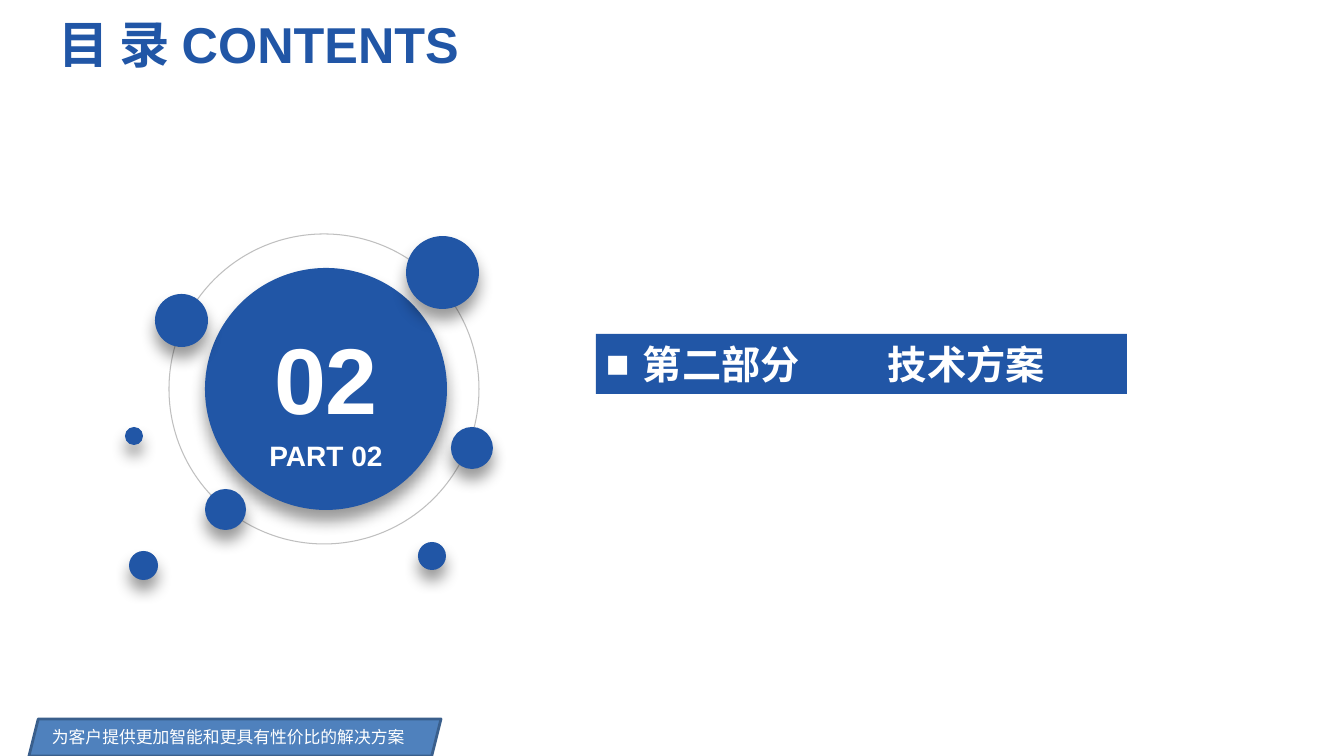
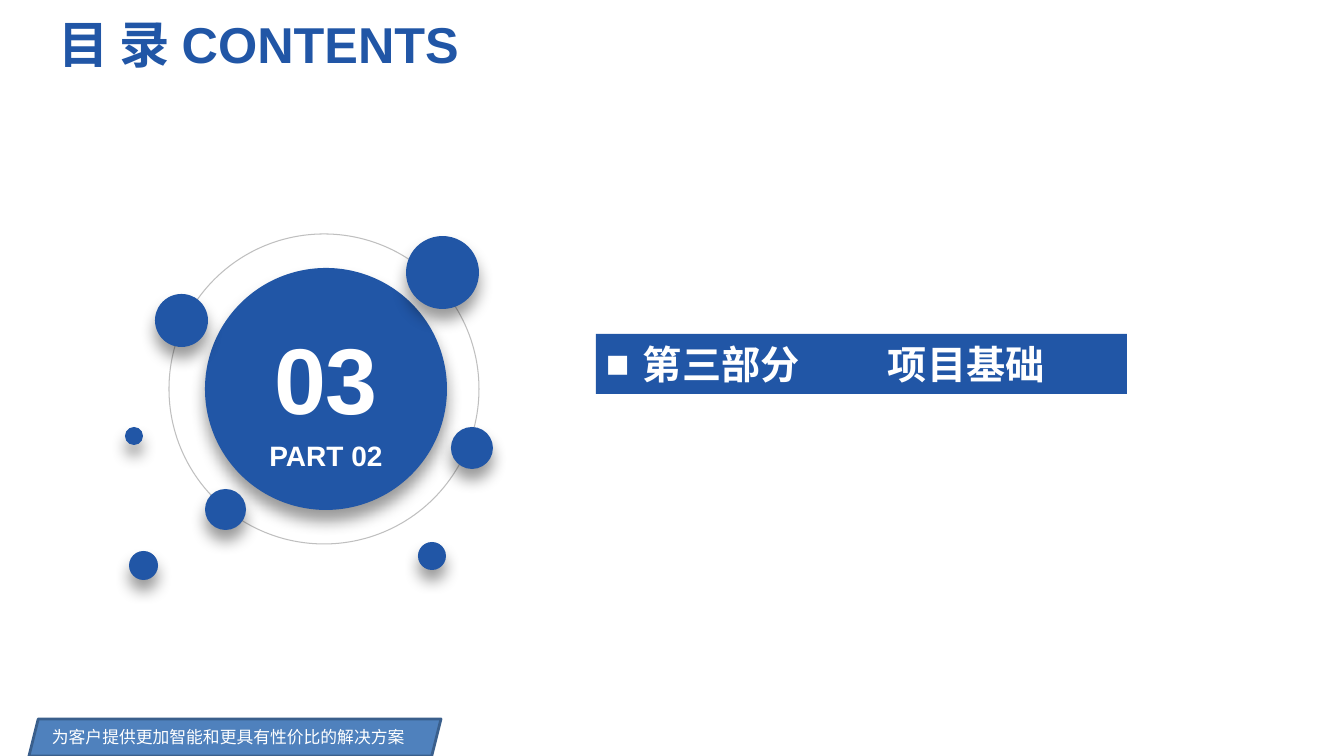
from dataclasses import dataclass

from lxml.etree import SubElement
from pptx import Presentation
from pptx.dml.color import RGBColor
from pptx.enum.shapes import MSO_SHAPE
from pptx.enum.text import MSO_ANCHOR, MSO_AUTO_SIZE, PP_ALIGN
from pptx.oxml.ns import qn
from pptx.util import Emu, Pt


@dataclass(frozen=True)
class Theme:
    font: str = "Arial"
    blue: str = "2156A6"
    white: str = "FFFFFF"
    ring: str = "BFBFBF"
    band: str = "4F81BD"
    band_edge: str = "3A5F8C"
    shadow: str = "000000"
    title: float = 36
    number: float = 66.7
    heading: float = 28
    caption: float = 20
    footer: float = 12


T = Theme()
SCALE = 12192000 / 1344  # EMU in one px
TITLE = "目 录 CONTENTS"
SLOGAN = "为客户提供更加智能和更具有性价比的解决方案"
SECTIONS = [
    ("02", "PART 02", "第二部分", "技术方案"),
    ("03", "PART 02", "第三部分", "项目基础"),
]
# Small circles around the disc: left, top, diameter within the emblem
SATELLITES = [
    (281, 2, 73), (30, 60, 53), (4, 317, 29), (80, 255, 41),
    (326, 193, 42), (293, 308, 28), (0, 193, 18),
]


def px(n):
    return Emu(round(n * SCALE))


def rgb(color):
    return RGBColor.from_string(color)


def add_bullet(p, char, indent):
    pPr = p._p.get_or_add_pPr()
    pPr.set("marL", str(px(indent)))
    pPr.set("indent", str(-px(indent)))
    SubElement(pPr, qn("a:buFont"), typeface=T.font)
    SubElement(pPr, qn("a:buChar"), char=char)


def write(sp, text, size, color=T.white, bold=True, align=PP_ALIGN.LEFT,
          anchor=MSO_ANCHOR.TOP, bullet=None, indent=0):
    tf = sp.text_frame
    tf.word_wrap = True
    tf.auto_size = MSO_AUTO_SIZE.NONE
    tf.vertical_anchor = anchor
    tf.margin_left = tf.margin_right = px(10)
    tf.margin_top = tf.margin_bottom = px(5)
    p = tf.paragraphs[0]
    p.alignment = align
    if bullet:
        add_bullet(p, bullet, indent)
    r = p.add_run()
    r.text = text
    r.font.name, r.font.size, r.font.bold = T.font, Pt(size), bold
    r.font.color.rgb = rgb(color)


def add_label(s, x, y, w, h, text, **fmt):
    sp = s.shapes.add_textbox(px(x), px(y), px(w), px(h))
    write(sp, text, **fmt)
    return sp


def add_box(s, kind, x, y, w, h, fill=None, line=None, weight=1):
    sp = s.shapes.add_shape(kind, px(x), px(y), px(w), px(h))
    sp.shadow.inherit = False
    if fill:
        sp.fill.solid()
        sp.fill.fore_color.rgb = rgb(fill)
    else:
        sp.fill.background()
    if line:
        sp.line.color.rgb = rgb(line)
        sp.line.width = Pt(weight)
    else:
        sp.line.fill.background()
    return sp


def add_shadow(sp):
    effects = sp.element.spPr.find(qn("a:effectLst"))
    shadow = SubElement(effects, qn("a:outerShdw"), blurRad=str(Pt(11)),
                        dist=str(Pt(8)), dir="5400000", algn="t",
                        rotWithShape="0")
    color = SubElement(shadow, qn("a:srgbClr"), val=T.shadow)
    SubElement(color, qn("a:alpha"), val="40000")


def add_ball(s, x, y, d):
    add_shadow(add_box(s, MSO_SHAPE.OVAL, x, y, d, d, fill=T.blue))


def add_footer(layout, s, x, y, w, h):
    """Draw the footer band on a slide and move it to the shared layout."""
    for ph in list(layout.placeholders):
        if ph.placeholder_format.idx:
            ph.element.getparent().remove(ph.element)
    band = add_box(s, MSO_SHAPE.PARALLELOGRAM, x, y, w, h,
                   fill=T.band, line=T.band_edge, weight=2)
    slogan = add_label(s, x + 13, y + 3, w - 13, h - 7, SLOGAN,
                       size=T.footer, bold=False)
    for sp in (band, slogan):
        layout.shapes.element.append(sp.element)


def add_title(s, x, y, w, h):
    sp = s.shapes.title
    sp.left, sp.top, sp.width, sp.height = px(x), px(y), px(w), px(h)
    write(sp, TITLE, size=T.title, color=T.blue)


def add_emblem(s, x, y, number, caption):
    # Ring and disc
    add_box(s, MSO_SHAPE.OVAL, x + 44, y, 310, 310, line=T.ring, weight=0.75)
    disc_x, disc_y, disc_d = x + 80, y + 34, 242
    add_ball(s, disc_x, disc_y, disc_d)
    # Number and caption
    for text, size, top, h in ((number, T.number, 48, 123),
                               (caption, T.caption, 165, 44)):
        add_label(s, disc_x, disc_y + top, disc_d, h, text,
                  size=size, align=PP_ALIGN.CENTER)
    # Satellites
    for dx, dy, d in SATELLITES:
        add_ball(s, x + dx, y + dy, d)


def add_heading(s, x, y, w, h, section, topic):
    bar = add_box(s, MSO_SHAPE.RECTANGLE, x, y, w, h, fill=T.blue)
    write(bar, section, size=T.heading, anchor=MSO_ANCHOR.MIDDLE,
          bullet="■", indent=37)
    topic_x = 282
    add_label(s, x + topic_x, y, w - topic_x, h, topic,
              size=T.heading, anchor=MSO_ANCHOR.MIDDLE)


def add_section_slide(prs, layout, number, caption, section, topic):
    s = prs.slides.add_slide(layout)
    add_title(s, 48, 8, 560, 72)
    add_heading(s, 596, 334, 531, 60, section, topic)
    add_emblem(s, 125, 234, number, caption)
    return s


def main():
    prs = Presentation()
    prs.slide_width, prs.slide_height = px(1344), px(756)
    layout = prs.slide_layouts.get_by_name("Title Only")
    slides = [add_section_slide(prs, layout, *section) for section in SECTIONS]
    add_footer(layout, slides[0], 29, 719, 412, 37)
    prs.save("out.pptx")


if __name__ == "__main__":
    main()
